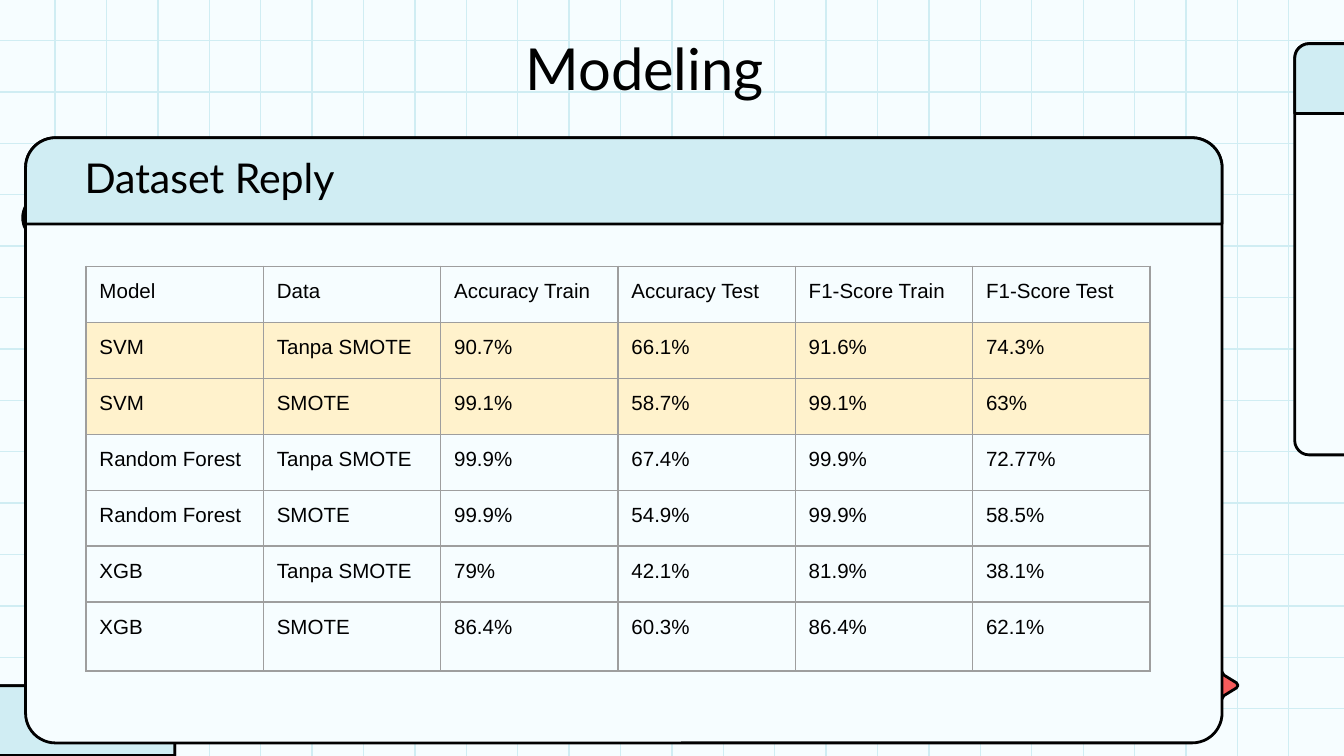
from lxml import etree
from pptx import Presentation
from pptx.dml.color import RGBColor
from pptx.enum.shapes import MSO_CONNECTOR, MSO_SHAPE
from pptx.enum.text import MSO_ANCHOR, PP_ALIGN
from pptx.oxml.ns import qn
from pptx.util import Pt

LINE = MSO_CONNECTOR.STRAIGHT
ROUND = MSO_SHAPE.ROUNDED_RECTANGLE
TAB = MSO_SHAPE.ROUND_2_SAME_RECTANGLE
OVAL = MSO_SHAPE.OVAL
LEFT, CENTER = PP_ALIGN.LEFT, PP_ALIGN.CENTER
TOP, BOTTOM = MSO_ANCHOR.TOP, MSO_ANCHOR.BOTTOM

WIDE, HIGH = 720, 405
INSET = Pt(7.2)
COLORS = {
    "paper": "F6FDFF",
    "sky": "D0EDF3",
    "ink": "000000",
    "cream": "FFF2CC",
    "red": "F55B5B",
    "gray": "9E9E9E",
}
ROWS = [
    ["Model", "Data", "Accuracy Train", "Accuracy Test",
     "F1-Score Train", "F1-Score Test"],
    ["SVM", "Tanpa SMOTE", "90.7%", "66.1%", "91.6%", "74.3%"],
    ["SVM", "SMOTE", "99.1%", "58.7%", "99.1%", "63%"],
    ["Random Forest", "Tanpa SMOTE", "99.9%", "67.4%", "99.9%", "72.77%"],
    ["Random Forest", "SMOTE", "99.9%", "54.9%", "99.9%", "58.5%"],
    ["XGB", "Tanpa SMOTE", "79%", "42.1%", "81.9%", "38.1%"],
    ["XGB", "SMOTE", "86.4%", "60.3%", "86.4%", "62.1%"],
]
MARKED = (1, 2)


def color(name):
    return RGBColor.from_string(COLORS[name])


def put(item, values):
    """Set each attribute named in values on item."""
    for key, value in values.items():
        setattr(item, key, value)


def insets(kind):
    return {f"{kind}_{side}": INSET for side in ("left", "right", "top", "bottom")}


def paint(shape, fill):
    """Give a shape a plain fill and the black outline, with no shadow."""
    shape.shadow.inherit = False
    shape.fill.solid()
    shape.fill.fore_color.rgb = color(fill)
    shape.line.width = Pt(1.5)
    shape.line.color.rgb = color("ink")


def add_block(slide, kind, box, fill, curves=()):
    shape = slide.shapes.add_shape(kind, *map(Pt, box))
    for i, curve in enumerate(curves):
        shape.adjustments[i] = curve
    paint(shape, fill)


def add_window(slide, box, bar, radius):
    """Draw a rounded panel with a title bar; radius is in points."""
    left, top, width, height = box
    add_block(slide, ROUND, box, "paper", [radius / min(width, height)])
    add_block(slide, TAB, (left, top, width, bar), "sky", [radius / bar, 0])


def add_rule(slide, *ends):
    rule = slide.shapes.add_connector(LINE, *map(Pt, ends))
    put(rule.line, {"width": Pt(0.75)})
    rule.line.color.rgb = color("sky")
    etree.SubElement(rule.element.spPr, qn("a:effectLst"))


def add_grid(slide):
    step = 27.54
    for i in range(25):
        x = 29.5 + i * step
        add_rule(slide, x, 0, x, HIGH)
    for i in range(14):
        y = 21.7 + i * step
        add_rule(slide, 0, y, WIDE, y)


def add_star(slide, x, y):
    """Draw a star of four equal arms, each a quarter turn from the last."""
    arm = [(5.5, -5.5), (12.2, -1.4), (13, 0), (12.2, 1.4)]
    points = []
    for _ in range(4):
        points += arm
        arm = [(-b, a) for a, b in arm]
    spots = [(Pt(x + a), Pt(y + b)) for a, b in points]
    maker = slide.shapes.build_freeform(*spots[0])
    maker.add_line_segments(spots[1:], close=True)
    paint(maker.convert_to_shape(), "red")


def write(frame, text, size, font, align=LEFT):
    frame.text = text
    part = frame.paragraphs[0]
    part.alignment = align
    face = part.runs[0].font
    put(face, {"name": font, "size": Pt(size), "bold": False})
    face.color.rgb = color("ink")


def set_text(shape, box, text, size, align, anchor):
    put(shape, dict(zip(("left", "top", "width", "height"), map(Pt, box))))
    frame = shape.text_frame
    put(frame, {"word_wrap": True, "vertical_anchor": anchor, **insets("margin")})
    write(frame, text, size, "Lato", align)


def add_title(slide):
    title = slide.shapes.title
    title.element.getparent().append(title.element)  # bring to front
    set_text(title, (41.8, 10.1, 607, 45.4), "Modeling", 31, CENTER, TOP)


def add_label(slide):
    label = slide.shapes.add_textbox(0, 0, 0, 0)
    set_text(label, (38.2, 83.5, 214.6, 31.7), "Dataset Reply", 22, LEFT, BOTTOM)


def add_edges(cell):
    frame = cell._tc.get_or_add_tcPr()
    for side in ("lnL", "lnR", "lnT", "lnB"):
        edge = etree.SubElement(frame, qn(f"a:{side}"), w=str(Pt(0.75)))
        fill = etree.SubElement(edge, qn("a:solidFill"))
        etree.SubElement(fill, qn("a:srgbClr"), val=COLORS["gray"])


def add_scores(slide):
    wide, high, last = 95, 30, 36.9
    count = len(ROWS[0])
    total = high * (len(ROWS) - 1) + last
    box = (46.1, 142.6, wide * count, total)
    table = slide.shapes.add_table(len(ROWS), count, *map(Pt, box)).table
    put(table, {"first_row": False, "horz_banding": False})
    for col in table.columns:
        col.width = Pt(wide)
    for row in table.rows:
        row.height = Pt(high)
    table.rows[len(ROWS) - 1].height = Pt(last)
    for r, texts in enumerate(ROWS):
        for c, text in enumerate(texts):
            cell = table.cell(r, c)
            put(cell, {"vertical_anchor": TOP, **insets("margin")})
            write(cell.text_frame, text, 11, "Arial")
            add_edges(cell)
            if r in MARKED:
                cell.fill.solid()
                cell.fill.fore_color.rgb = color("cream")
            else:
                cell.fill.background()


def main():
    deck = Presentation()
    put(deck, {"slide_width": Pt(WIDE), "slide_height": Pt(HIGH)})
    slide = deck.slides.add_slide(deck.slide_layouts[5])
    back = slide.background.fill
    back.solid()
    back.fore_color.rgb = color("paper")

    add_grid(slide)
    add_window(slide, (-394.6, 367.4, 488.2, 220.3), 37.4, 7.7)
    add_star(slide, 650.2, 367.2)
    add_window(slide, (693.6, 23.4, 488.2, 220.3), 37.4, 7.7)
    add_block(slide, OVAL, (12.2, 103.7, 25.9, 25.9), "cream")
    add_window(slide, (13.7, 73.8, 641, 324.2), 46.2, 16)
    add_title(slide)
    add_label(slide)
    add_scores(slide)
    deck.save("out.pptx")


if __name__ == "__main__":
    main()
